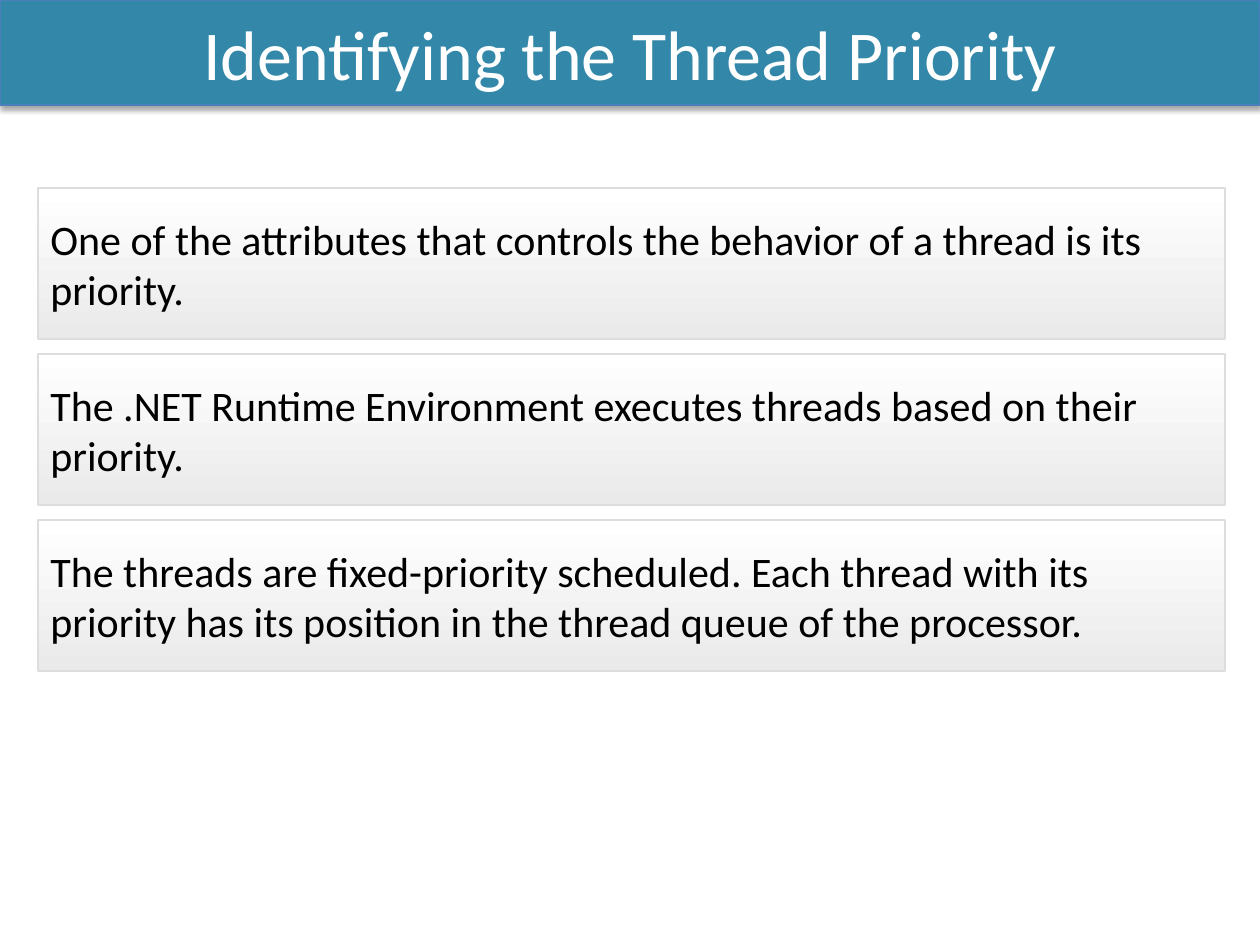
import pptx
import pptx.dml.color
import pptx.enum.shapes
import pptx.enum.text
import pptx.oxml
import pptx.oxml.ns
import pptx.util

RGB = pptx.dml.color.RGBColor
ALIGN = pptx.enum.text.PP_ALIGN

# Content
TITLE = "Identifying the Thread Priority"
POINTS = [
    "One of the attributes that controls the behavior of a thread is its priority.",
    "The .NET Runtime Environment executes threads based on their priority.",
    "The threads are fixed-priority scheduled. Each thread with its priority "
    "has its position in the thread queue of the processor.",
]

# Style
FONT = "Calibri"
WHITE = RGB(0xFF, 0xFF, 0xFF)
BLACK = RGB(0x00, 0x00, 0x00)
TEAL = RGB(0x33, 0x88, 0xA9)
BLUE = RGB(0x4B, 0x7E, 0xBC)
PALE = RGB(0xEA, 0xEA, 0xEA)
GREY = RGB(0xDD, 0xDD, 0xDD)

# Layout in px, 126 to the inch
PX = 914400 // 126
SLIDE_W, SLIDE_H = 1260, 945
TITLE_H = 105
BOX_X, BOX_Y, BOX_W, BOX_H = 38, 188, 1187, 151
BOX_PITCH = 166

SHADOW = (
    f'<a:effectLst {pptx.oxml.ns.nsdecls("a")}>'
    '<a:outerShdw blurRad="40000" dist="23000" dir="5400000" rotWithShape="0">'
    '<a:srgbClr val="000000"><a:alpha val="35000"/></a:srgbClr>'
    '</a:outerShdw></a:effectLst>'
)


def add_box(slide, x, y, w, h, text, size, color, align, line, line_width):
    sp = slide.shapes.add_shape(
        pptx.enum.shapes.MSO_SHAPE.RECTANGLE, x * PX, y * PX, w * PX, h * PX)
    sp.shadow.inherit = False
    sp.line.color.rgb = line
    sp.line.width = pptx.util.Pt(line_width)
    tf = sp.text_frame
    tf.word_wrap = True
    tf.vertical_anchor = pptx.enum.text.MSO_ANCHOR.MIDDLE
    tf.text = text
    p = tf.paragraphs[0]
    p.alignment = align
    font = p.runs[0].font
    font.name = FONT
    font.size = pptx.util.Pt(size)
    font.color.rgb = color
    return sp


def main():
    prs = pptx.Presentation()
    prs.slide_width = pptx.util.Inches(10)
    prs.slide_height = pptx.util.Inches(7.5)
    s = prs.slides.add_slide(prs.slide_layouts[6])

    # Title band with a soft shadow below
    band = add_box(s, 0, 0, SLIDE_W, TITLE_H, TITLE, 40, WHITE,
                   ALIGN.CENTER, BLUE, 0.75)
    band.fill.solid()
    band.fill.fore_color.rgb = TEAL
    effects = band._element.spPr.find(pptx.oxml.ns.qn("a:effectLst"))
    effects.getparent().replace(effects, pptx.oxml.parse_xml(SHADOW))

    # Stacked points, shaded from top to bottom
    for i, text in enumerate(POINTS):
        box = add_box(s, BOX_X, BOX_Y + i * BOX_PITCH, BOX_W, BOX_H, text, 24,
                      BLACK, ALIGN.LEFT, GREY, 1)
        box.fill.gradient()
        box.fill.gradient_angle = 270
        for stop, color, position in zip(box.fill.gradient_stops,
                                         (WHITE, PALE), (0, 1)):
            stop.color.rgb = color
            stop.position = position

    prs.save("out.pptx")


if __name__ == "__main__":
    main()
